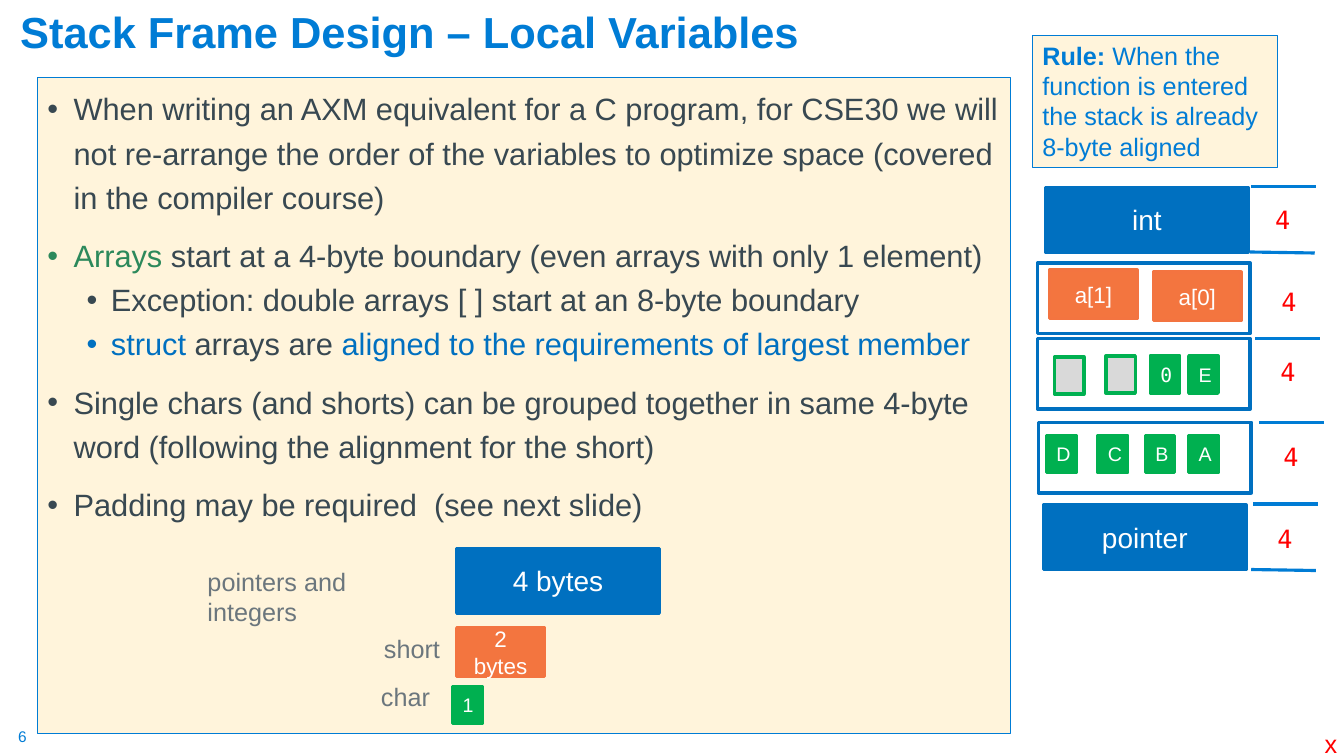
import pptx
import pptx.util
import pptx.dml.color
import pptx.enum.shapes
import pptx.enum.text
import pptx.oxml
import pptx.oxml.ns

Inches = pptx.util.Inches
Pt = pptx.util.Pt

COLORS = {
    "accent": "007CD5", "word": "0070C0", "short": "F3753F", "short_edge": "F37440",
    "char": "00B050", "padding": "D9D9D9", "cream": "FFF4DB", "ink": "384851",
    "array": "2C895B", "label": "6B767D", "size": "FF0000", "white": "FFFFFF",
}
MONO = "DejaVu Sans Mono"
WORD, SHORT, CHAR, SLOT = (2.01, 0.64), (0.87, 0.48), (0.29, 0.37), (2.11, 0.7)

DESIGN_RULES = [
    (0, [("When writing an AXM equivalent for a C program, for CSE30 we will not re-arrange "
          "the order of the variables to optimize space (covered in the compiler course)", "ink")]),
    (0, [("Arrays", "array"),
         (" start at a 4-byte boundary (even arrays with only 1 element)", "ink")]),
    (1, [("Exception: double arrays [ ] start at an 8-byte boundary", "ink")]),
    (1, [("struct", "word"), (" arrays are ", "ink"),
         ("aligned to the requirements of largest member", "word")]),
    (0, [("Single chars (and shorts) can be grouped together in same 4-byte word "
          "(following the alignment for the short)", "ink")]),
    (0, [("Padding may be required  (see next slide)", "ink")]),
]


def rgb(name):
    """Return the named colour."""
    return pptx.dml.color.RGBColor.from_string(COLORS[name])


def set_font(font, size, color, face="Arial", bold=None):
    """Apply size, colour, face and weight to a font."""
    font.size, font.name, font.bold = Pt(size), face, bold
    font.color.rgb = rgb(color)


def place(part, left, top, width, height):
    """Move a part to the given box."""
    part.left, part.top = Inches(left), Inches(top)
    part.width, part.height = Inches(width), Inches(height)


def add_block(slide, left, top, size, fill, edge, text="", points=14, face="Arial", weight=2.5):
    """Add a rectangle with an optional centred caption."""
    block = slide.shapes.add_shape(pptx.enum.shapes.MSO_SHAPE.RECTANGLE,
                                   Inches(left), Inches(top), *map(Inches, size))
    block.shadow.inherit = False
    if fill:
        block.fill.solid()
        block.fill.fore_color.rgb = rgb(fill)
    else:
        block.fill.background()
    block.line.color.rgb = rgb(edge)
    block.line.width = Pt(weight)
    if text:
        block.text_frame.text = text
        caption = block.text_frame.paragraphs[0]
        caption.alignment = pptx.enum.text.PP_ALIGN.CENTER
        set_font(caption.font, points, "white", face)
    return block


def add_word(slide, left, top, text):
    """Add a four-byte block."""
    add_block(slide, left, top, WORD, "word", "word", text, 20)


def add_short(slide, left, top, text):
    """Add a two-byte block."""
    add_block(slide, left, top, SHORT, "short", "short_edge", text, 16)


def add_char(slide, left, top, text, face="Arial"):
    """Add a one-byte block, grey when it is padding."""
    add_block(slide, left, top, CHAR, "char" if text else "padding", "char", text, 14, face)


def add_label(slide, left, top, width, text, color, face="Arial", size=18, height=0.4, inset=None):
    """Add one line of unwrapped text."""
    label = slide.shapes.add_textbox(*map(Inches, (left, top, width, height)))
    frame = label.text_frame
    frame.word_wrap = False
    if inset is not None:
        frame.margin_left = frame.margin_right = Inches(inset)
        frame.margin_top = frame.margin_bottom = Inches(inset)
    frame.text = text
    set_font(frame.paragraphs[0].font, size, color, face)


def add_boundary(slide, left, top, right, bottom):
    """Add a line that marks a word boundary."""
    boundary = slide.shapes.add_connector(pptx.enum.shapes.MSO_CONNECTOR.STRAIGHT,
                                          *map(Inches, (left, top, right, bottom)))
    boundary.line.color.rgb = rgb("accent")
    boundary.line.width = Pt(2.25)
    properties = boundary.element.spPr
    properties.append(properties.makeelement(pptx.oxml.ns.qn("a:effectLst"), {}))


def fill_title(title, left, top, width, height):
    """Write the slide title."""
    place(title, left, top, width, height)
    frame = title.text_frame
    frame.auto_size = pptx.enum.text.MSO_AUTO_SIZE.NONE
    frame.vertical_anchor = pptx.enum.text.MSO_ANCHOR.BOTTOM
    frame.text = "Stack Frame Design – Local Variables"
    heading = frame.paragraphs[0]
    heading.alignment = pptx.enum.text.PP_ALIGN.LEFT
    heading.line_spacing = 0.9
    set_font(heading.font, 31, "accent", bold=True)


def set_bullet(paragraph, level, color):
    """Give a paragraph its indent and bullet."""
    margin, hang = ((0.26, -0.26), (0.63, -0.24))[level]
    properties = paragraph._p.get_or_add_pPr()
    properties.set("marL", str(Inches(margin)))
    properties.set("indent", str(Inches(hang)))
    namespace = pptx.oxml.ns.nsdecls("a")
    for bullet in (f'<a:buClr {namespace}><a:srgbClr val="{COLORS[color]}"/></a:buClr>',
                   f'<a:buFont {namespace} typeface="Arial"/>',
                   f'<a:buChar {namespace} char="•"/>'):
        properties.append(pptx.oxml.parse_xml(bullet))


def fill_rules(body, left, top, width, height):
    """Write the list of layout rules on its cream panel."""
    place(body, left, top, width, height)
    body.fill.solid()
    body.fill.fore_color.rgb = rgb("cream")
    body.line.color.rgb = rgb("accent")
    body.line.width = Pt(0.75)
    frame = body.text_frame
    frame.auto_size = pptx.enum.text.MSO_AUTO_SIZE.NONE
    for index, (level, pieces) in enumerate(DESIGN_RULES):
        rule = frame.add_paragraph() if index else frame.paragraphs[0]
        rule.level = level
        rule.line_spacing = 1.0 if level else 1.2
        rule.space_before = Pt((5 if level else 10) if index else 0)
        set_bullet(rule, level, pieces[0][1])
        set_font(rule.font, 22, pieces[0][1])
        for text, color in pieces:
            piece = rule.add_run()
            piece.text = text
            piece.font.color.rgb = rgb(color)


def draw_legend(slide, left, top):
    """Show the block size used for each type."""
    add_label(slide, left, top + 0.13, 2.53, "pointers and integers", "label")
    add_label(slide, left + 1.75, top + 0.79, 0.76, "short", "label")
    add_label(slide, left + 1.72, top + 1.27, 0.69, "char", "label")
    add_word(slide, left + 2.57, top, "4 bytes")
    add_short(slide, left + 2.57, top + 0.79, "2 bytes")
    add_char(slide, left + 2.53, top + 1.37, "1")


def draw_alignment_rule(slide, left, top, width, height):
    """Write the alignment rule in its box."""
    panel = add_block(slide, left, top, (width, height), "cream", "accent", weight=0.75)
    frame = panel.text_frame
    frame.vertical_anchor = pptx.enum.text.MSO_ANCHOR.TOP
    rule = frame.paragraphs[0]
    rule.alignment = pptx.enum.text.PP_ALIGN.LEFT
    set_font(rule.font, 18, "accent")
    lead = rule.add_run()
    lead.text = "Rule: "
    lead.font.bold = True
    rule.add_run().text = "When the function is entered the stack is already 8-byte aligned"


def draw_stack(slide, left, top):
    """Draw the stack frame with its words and their sizes."""
    add_word(slide, left + 0.08, top + 0.01, "int")
    add_word(slide, left + 0.06, top + 3.16, "pointer")
    for x, y in ((0, 0.76), (0, 1.51), (0.01, 2.34)):
        add_block(slide, left + x, top + y, SLOT, None, "word")
    add_short(slide, left + 0.12, top + 0.83, "a[1]")
    add_short(slide, left + 1.15, top + 0.85, "a[0]")
    for x, y, text, face in ((0.17, 1.69, "", "Arial"), (0.68, 1.68, "", "Arial"),
                             (1.12, 1.68, "0", MONO), (1.5, 1.68, "E", "Arial"),
                             (0.09, 2.47, "D", "Arial"), (0.6, 2.47, "C", "Arial"),
                             (1.07, 2.47, "B", "Arial"), (1.5, 2.47, "A", "Arial")):
        add_char(slide, left + x, top + y, text, face)
    for x, y in ((2.26, 0.13), (2.32, 0.94), (2.31, 1.64), (2.34, 2.48), (2.28, 3.29)):
        add_label(slide, left + x, top + y, 0.34, "4", "size", MONO)
    for x, y, drop in ((2.12, 0, 0), (2.11, 0.65, 0.01), (2.16, 1.51, 0),
                       (2.2, 2.34, 0), (2.14, 3.15, 0), (2.12, 3.8, 0.01)):
        add_boundary(slide, left + x, top + y, left + x + 0.64, top + y + drop)


def main():
    """Build the slide and save it."""
    deck = pptx.Presentation()
    deck.slide_width, deck.slide_height = Inches(13.33), Inches(7.5)
    slide = deck.slides.add_slide(deck.slide_layouts[1])
    fill_title(slide.shapes.title, 0.1, 0.12, 9.39, 0.5)
    fill_rules(slide.placeholders[1], 0.37, 0.77, 9.65, 6.51)
    draw_legend(slide, 1.96, 5.44)
    draw_alignment_rule(slide, 10.24, 0.35, 2.43, 1.31)
    draw_stack(slide, 10.29, 1.85)
    add_label(slide, 0.18, 7.21, 0.19, "6", "accent", size=11, height=0.19, inset=0)
    add_label(slide, 13.04, 7.18, 0.33, "x", "size")
    deck.save("out.pptx")


if __name__ == "__main__":
    main()
